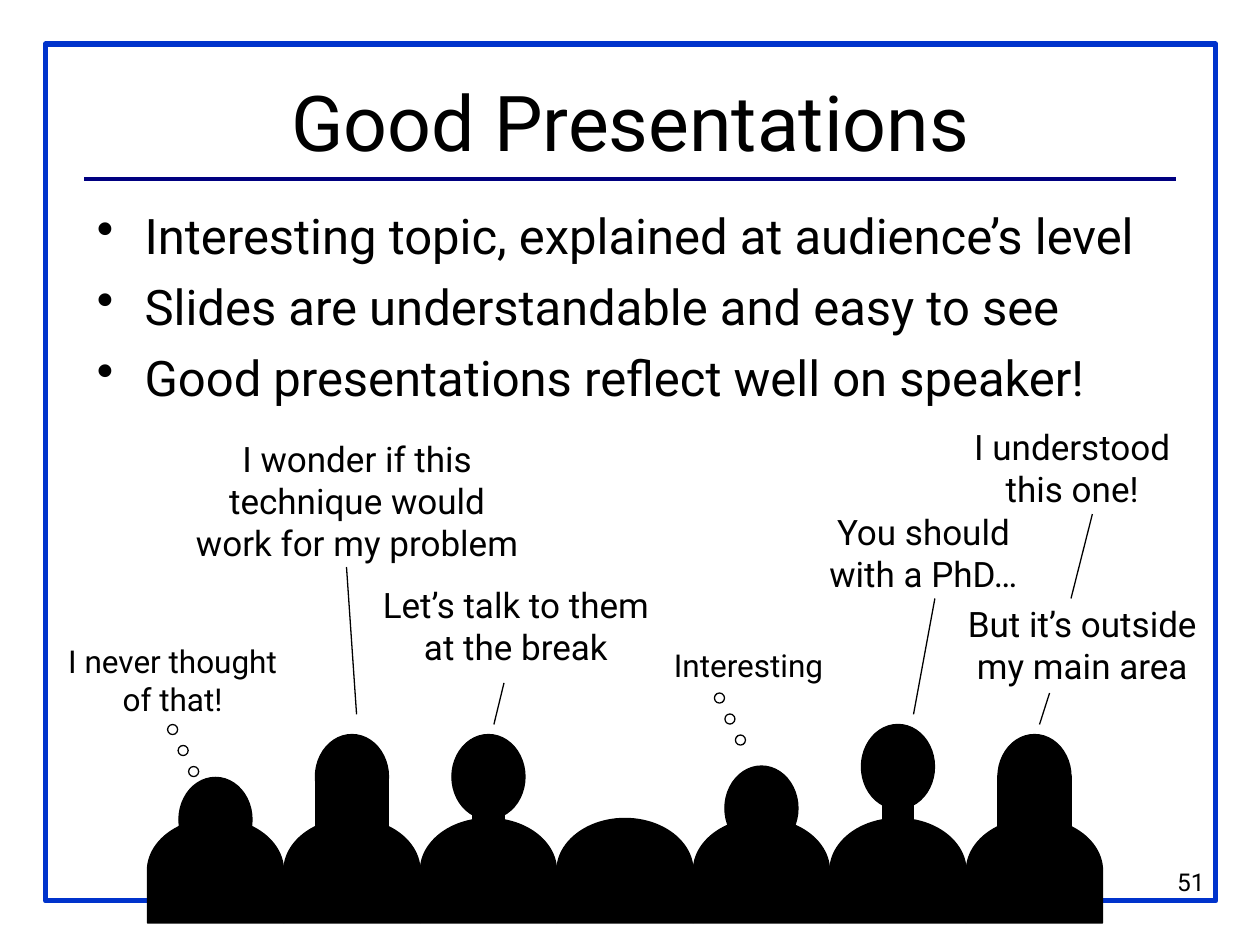
from dataclasses import dataclass

from lxml import etree
from pptx import Presentation
from pptx.dml.color import RGBColor
from pptx.enum.shapes import MSO_CONNECTOR as Connector, MSO_SHAPE as Preset
from pptx.enum.text import MSO_ANCHOR as Anchor, PP_ALIGN as Align
from pptx.oxml.ns import qn
from pptx.util import Inches, Pt


@dataclass(frozen=True)
class Theme:
    font: str = "Roboto"
    ink: RGBColor = RGBColor(0, 0, 0)
    frame: RGBColor = RGBColor(0x00, 0x33, 0xCC)
    rule: RGBColor = RGBColor(0x00, 0x00, 0x80)
    title: int = 44
    body: int = 28
    speech: int = 20
    thought: int = 18
    number: int = 14
    thin: float = 0.75


THEME = Theme()

BULLETS = [
    "Interesting topic, explained at audience’s level",
    "Slides are understandable and easy to see",
    "Good presentations reflect well on speaker!",
]
REMARKS = [
    ("I never thought of that!", (0.33, 5.05, 2.08, 0.7), THEME.thought, Align.CENTER),
    ("I wonder if this technique would work for my problem",
     (1.42, 3.42, 2.83, 1.44), THEME.speech, Align.CENTER),
    ("Let’s talk to them at the break", (2.92, 4.58, 2.35, 1.1), THEME.speech, Align.CENTER),
    ("Interesting", (5.25, 5.08, 1.42, 0.7), THEME.thought, Align.LEFT),
    ("You should\vwith a PhD…", (6.33, 4, 2, 0.77), THEME.speech, Align.CENTER),
    ("I understood this one!", (7.42, 3.33, 2.18, 0.77), THEME.speech, Align.CENTER),
    ("But it’s outside\vmy main area", (7.5, 4.73, 2.18, 0.77), THEME.speech, Align.CENTER),
]
POINTERS = [
    ((2.83, 5.67), (2.75, 4.5)),
    ((3.92, 5.75), (4, 5.42)),
    ((7.25, 5.67), (7.42, 4.75)),
    ((8.25, 5.75), (8.33, 5.5)),
    ((8.5, 4.75), (8.67, 4.08)),
]
THOUGHT_TRAILS = [(1.33, 5.75), (5.67, 5.5)]
SLIM, WIDE = 0.25, 0.58
AUDIENCE = [(6.17, None), (5.83, WIDE), (5.83, SLIM), (None, None),
            (6.08, None), (5.75, SLIM), (5.83, WIDE)]
FIRST_SEAT, SEAT_PITCH = 1.71, 13 / 12


def apply_format(target, values):
    for name, value in values.items():
        setattr(target, name, value)


def add_shape(slide, preset, box, fill=None, line=THEME.ink, weight=THEME.thin, rotation=0):
    shape = slide.shapes.add_shape(preset, *map(Inches, box))
    shape.shadow.inherit = False
    shape.rotation = rotation
    if fill is None:
        shape.fill.background()
    else:
        shape.fill.solid()
        shape.fill.fore_color.rgb = fill
    shape.line.color.rgb = line
    shape.line.width = Pt(weight)


def add_line(slide, start, end, color=THEME.ink, weight=THEME.thin):
    points = map(Inches, (*start, *end))
    connector = slide.shapes.add_connector(Connector.STRAIGHT, *points)
    connector.line.color.rgb = color
    connector.line.width = Pt(weight)
    etree.SubElement(connector._element.spPr, qn("a:effectLst"))


def add_bullet(paragraph):
    properties = paragraph._p.get_or_add_pPr()
    properties.set("marL", str(Inches(0.38)))
    properties.set("indent", str(Inches(-0.38)))
    etree.SubElement(properties, qn("a:buChar")).set("char", "•")


def add_text(slide, lines, box, size, alignment=Align.LEFT, anchor=Anchor.TOP, bulleted=False):
    frame = slide.shapes.add_textbox(*map(Inches, box)).text_frame
    apply_format(frame, {"word_wrap": True, "vertical_anchor": anchor})
    for index, line in enumerate(lines):
        paragraph = frame.add_paragraph() if index else frame.paragraphs[0]
        paragraph.text = line
        paragraph.alignment = alignment
        if bulleted:
            add_bullet(paragraph)
        if index:
            paragraph.space_before = Pt(7)
        for run in paragraph.runs:
            apply_format(run.font, {"name": THEME.font, "size": Pt(size)})
            run.font.color.rgb = THEME.ink


def add_thought_trail(slide, left, top):
    for step in range(3):
        box = (left + step / 12, top + step / 6, 0.08, 0.08)
        add_shape(slide, Preset.OVAL, box)


def add_listener(slide, center, head_top, neck_width):
    shoulders = (center - 0.415, 6.37, 0.83, 1.08)
    add_shape(slide, Preset.FLOWCHART_DELAY, shoulders, THEME.ink, rotation=270)
    if head_top is not None:
        add_shape(slide, Preset.OVAL, (center - 0.29, head_top, 0.58, 0.67), THEME.ink)
    if neck_width is not None:
        neck = (center - neck_width / 2, head_top + 0.33, neck_width, 0.75)
        add_shape(slide, Preset.RECTANGLE, neck, THEME.ink)


def main():
    presentation = Presentation()
    presentation.slide_width = Inches(10)
    presentation.slide_height = Inches(7.5)
    slide = presentation.slides.add_slide(presentation.slide_layouts[6])

    add_shape(slide, Preset.RECTANGLE, (0.36, 0.35, 9.29, 6.8), line=THEME.frame, weight=3)
    add_line(slide, (0.67, 1.42), (9.33, 1.42), THEME.rule, 2)
    add_text(slide, ["51"], (7.58, 6.83, 2.08, 0.5), THEME.number, Align.RIGHT)
    add_text(slide, ["Good Presentations"], (0.67, 0.33, 8.67, 1.25), THEME.title,
             Align.CENTER, Anchor.MIDDLE)
    add_text(slide, BULLETS, (0.67, 1.58, 8.67, 5.25), THEME.body, bulleted=True)

    for trail in THOUGHT_TRAILS:
        add_thought_trail(slide, *trail)
    for seat, (head_top, neck_width) in enumerate(AUDIENCE):
        add_listener(slide, FIRST_SEAT + seat * SEAT_PITCH, head_top, neck_width)
    for text, box, size, alignment in REMARKS:
        add_text(slide, [text], box, size, alignment)
    for start, end in POINTERS:
        add_line(slide, start, end)

    presentation.save("out.pptx")


if __name__ == "__main__":
    main()
